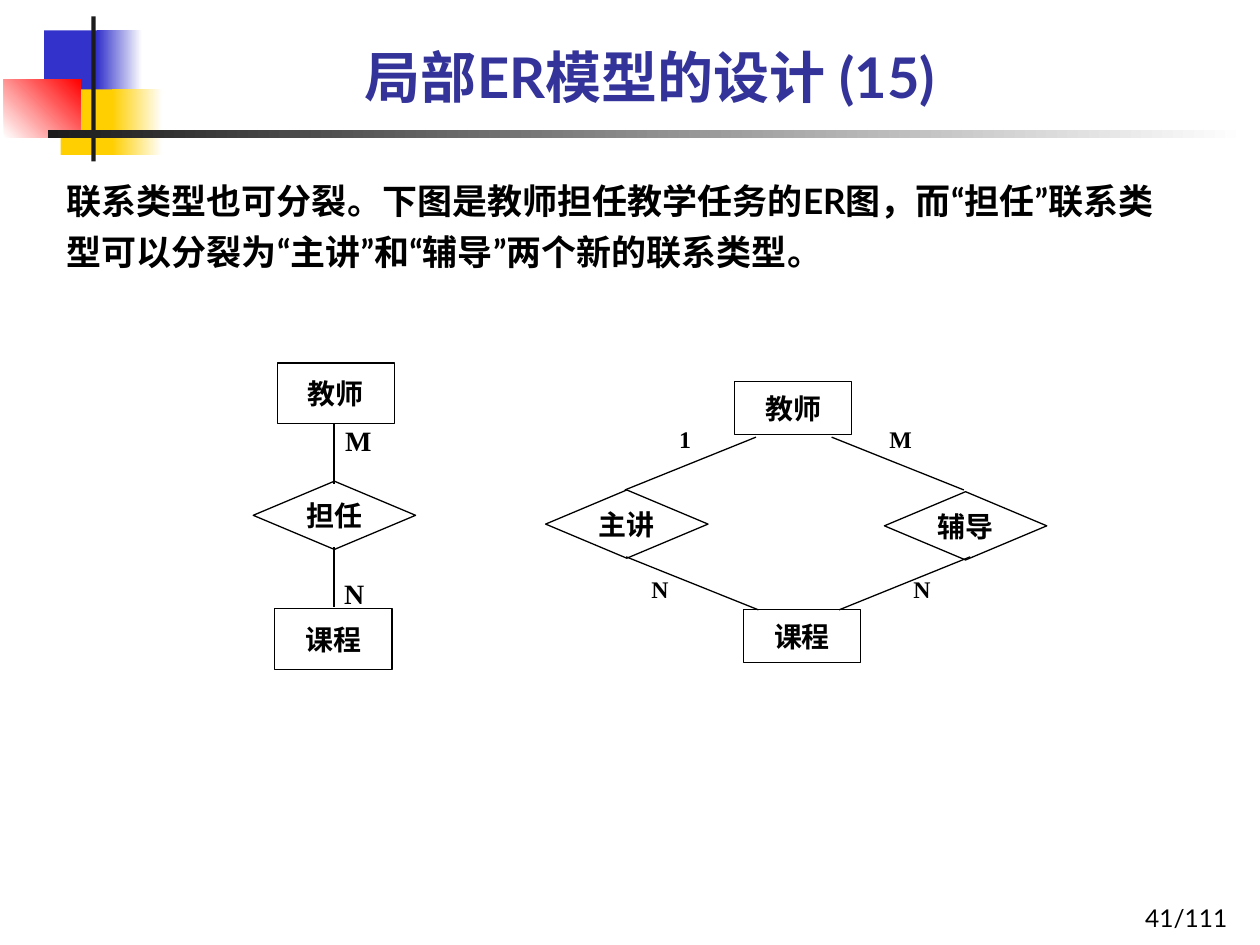
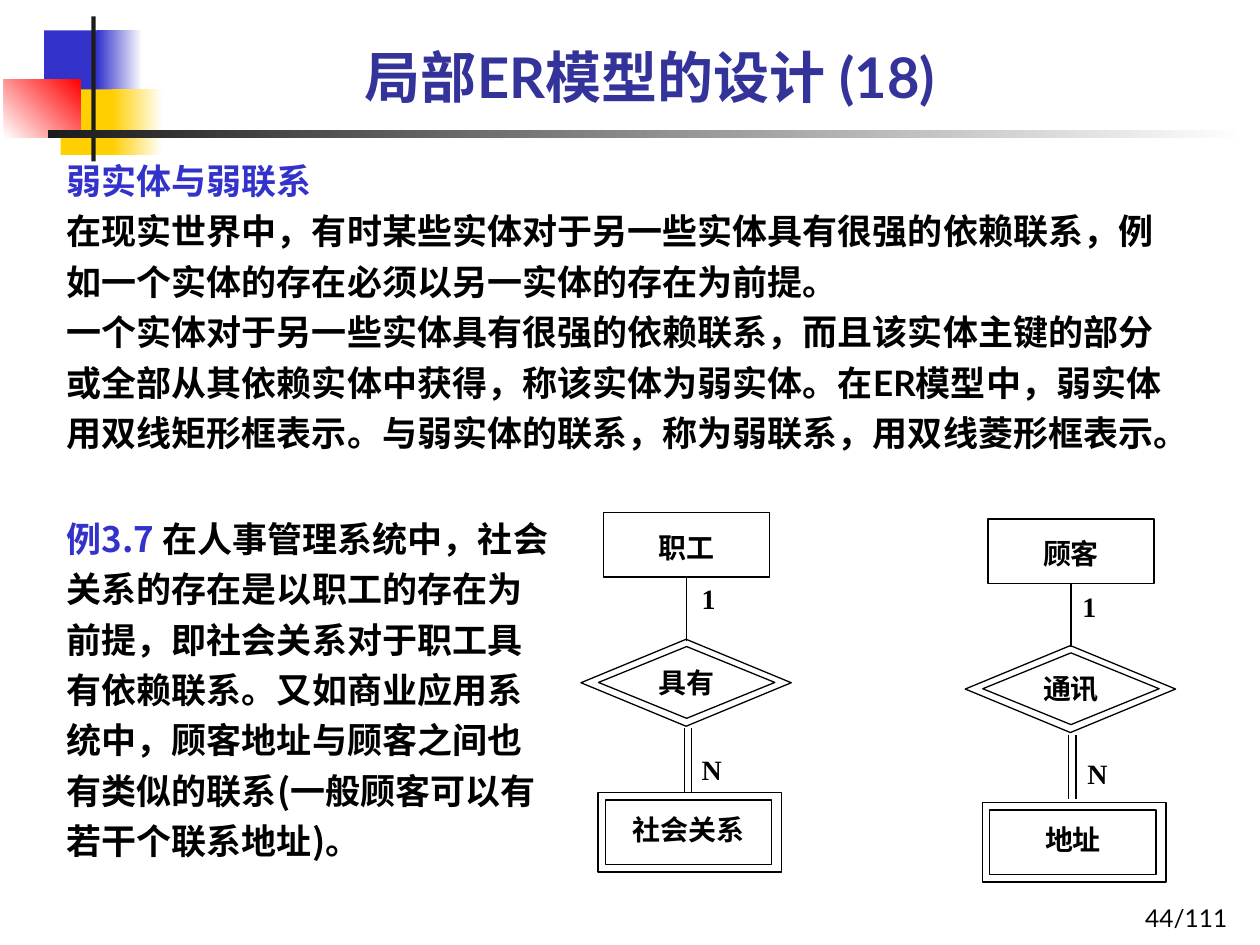
from itertools import groupby

from lxml import etree
from pptx import Presentation
from pptx import util as u
from pptx.dml import color
from pptx.enum import shapes, text
from pptx.oxml import ns

COLORS = {
    "black": "000000",
    "white": "FFFFFF",
    "ink": "1C1C1C",
    "title": "333399",
    "blue": "3333CC",
    "yellow": "FFCF01",
    "red": "FF0000",
}
SANS, CJK, SERIF = "Lato", "Noto Sans CJK SC", "Times New Roman"
RECTANGLE = shapes.MSO_SHAPE.RECTANGLE
DIAMOND = shapes.MSO_SHAPE.DIAMOND
ALIGN = text.PP_ALIGN
ANCHOR = text.MSO_ANCHOR
ENTITY = 67, 34.8
SLIM_ENTITY = 67, 30
RELATION = 92.8, 39
WEAK_ENTITY = 95, 36.7
INSETS = 7.2, 3.6, 7.2, 3.6
NO_INSETS = 0, 0, 0, 0
SIDES = "margin_left", "margin_top", "margin_right", "margin_bottom"


def rgb(name):
    return color.RGBColor.from_string(COLORS[name])


def set_values(target, values):
    for name, value in values.items():
        setattr(target, name, value)


def quote_runs(sentence, tone="black"):
    return [("".join(part), SERIF if quoted else SANS, tone)
            for quoted, part in groupby(sentence, lambda letter: letter in "“”")]


class Deck:
    def __init__(self):
        self.presentation = Presentation()
        set_values(self.presentation, {"slide_width": u.Pt(720), "slide_height": u.Pt(540)})
        self.slide = None

    def add_slide(self, title, page):
        self.slide = self.presentation.slides.add_slide(self.presentation.slide_layouts[5])
        self.add_emblem()
        self.add_text((558.7, 500.4, 149.8, 36), [[(page, SANS, "black")]], size=14,
                      bold=False, align=ALIGN.RIGHT, anchor=ANCHOR.BOTTOM)
        placeholder = self.slide.shapes.title
        set_values(placeholder, dict(zip(("left", "top", "width", "height"),
                                         map(u.Pt, (64.8, 3.6, 613.4, 62.6)))))
        self.fill_text(placeholder, [[(title, SANS, "title")]], size=32,
                       align=ALIGN.CENTER, anchor=ANCHOR.BOTTOM)

    def add_emblem(self):
        for box, tones, angle in (
            ((25.2, 17.3, 34.6, 37.4), ["blue"], 0),
            ((55.4, 17.3, 25.9, 37.4), ["blue", "white"], 0),
            ((34.6, 51.1, 33.1, 37.4), ["yellow"], 0),
            ((64.1, 51.1, 28.8, 37.4), ["yellow", "white"], 0),
            ((2.2, 45.4, 43.9, 33.1), ["white", "red"], 45),
            ((52.2, 9.4, 2.4, 82.8), ["ink"], 0),
            ((27.4, 74.2, 684.7, 4.6), ["ink", "white"], 0),
        ):
            shape = self.add_shape(RECTANGLE, box, tones[0], outlined=False)
            if len(tones) == 2:
                shape.fill.gradient()
                shape.fill.gradient_angle = angle
                for stop, tone in zip(shape.fill.gradient_stops, tones):
                    stop.color.rgb = rgb(tone)

    def add_shape(self, kind, box, fill=None, outlined=True):
        shape = self.slide.shapes.add_shape(kind, *map(u.Pt, box))
        shape.shadow.inherit = False
        if fill:
            shape.fill.solid()
            shape.fill.fore_color.rgb = rgb(fill)
        else:
            shape.fill.background()
        if outlined:
            shape.line.color.rgb = rgb("black")
            shape.line.width = u.Pt(0.75)
        else:
            shape.line.fill.background()
        return shape

    def add_node(self, kind, left, top, size, name, insets=NO_INSETS, fill="white"):
        shape = self.add_shape(kind, (left, top, *size), fill)
        self.fill_text(shape, [[(name, SERIF, "black")]], size=16, align=ALIGN.CENTER,
                       anchor=ANCHOR.MIDDLE, insets=insets)

    def add_text(self, box, paragraphs, **style):
        self.fill_text(self.slide.shapes.add_textbox(*map(u.Pt, box)), paragraphs, **style)

    def add_label(self, left, top, name, size=16, spacing=1):
        self.add_text((left, top, 17.3, 18 if spacing < 1 else 20.9),
                      [[(name, SERIF, "black")]], size=size, spacing=spacing,
                      anchor=ANCHOR.MIDDLE, insets=NO_INSETS)

    def add_line(self, *ends):
        connector = self.slide.shapes.add_connector(
            shapes.MSO_CONNECTOR.STRAIGHT, *map(u.Pt, ends))
        connector.line.color.rgb = rgb("black")
        connector.line.width = u.Pt(0.75)
        etree.SubElement(connector._element.spPr, ns.qn("a:effectLst"))

    def fill_text(self, shape, paragraphs, size=20, bold=True, align=ALIGN.LEFT,
                  anchor=ANCHOR.TOP, insets=INSETS, spacing=1):
        frame = shape.text_frame
        set_values(frame, {"word_wrap": True, "auto_size": text.MSO_AUTO_SIZE.NONE,
                           "vertical_anchor": anchor, **dict(zip(SIDES, map(u.Pt, insets)))})
        for index, runs in enumerate(paragraphs):
            paragraph = frame.add_paragraph() if index else frame.paragraphs[0]
            set_values(paragraph, {"alignment": align, "line_spacing": spacing,
                                   "space_before": u.Pt(0)})
            for words, font_name, tone in runs:
                run = paragraph.add_run()
                run.text = words
                set_values(run.font, {"name": font_name, "size": u.Pt(size), "bold": bold})
                run.font.color.rgb = rgb(tone)
                east_asian = etree.Element(ns.qn("a:ea"), typeface=SANS)
                run.font._element.find(ns.qn("a:latin")).addnext(east_asian)

    def add_weak_relation(self, center, top, weak_top, names, one_at, many_at):
        owner, relation, weak = names
        self.add_node(RECTANGLE, center - 47.5, top, WEAK_ENTITY, owner, (0, 3, 0, 0))
        self.add_line(center, top + 36.7, center, top + 73.4)
        for shift in (-1.4, 2.9):
            self.add_line(center + shift, top + 123.2, center + shift, top + 159.9)
        self.add_node(DIAMOND, center - 50.4, top + 76.5, (100.8, 41), relation)
        self.add_shape(DIAMOND, (center - 60.4, top + 72.3, 120.2, 49.7))
        self.add_shape(RECTANGLE, (center - 50.7, weak_top, 105.1, 45.4))
        self.add_node(RECTANGLE, center - 46.4, weak_top + 4.3, WEAK_ENTITY, weak,
                      (0, 0, 0, 3), fill=None)
        self.add_label(*one_at, "1")
        self.add_label(*many_at, "N")


def add_split_slide(deck):
    deck.add_slide("局部ER模型的设计 (15)", "41/111")
    sentence = ("联系类型也可分裂。下图是教师担任教学任务的ER图，而“担任”联系类型可以分裂为"
                "“主讲”和“辅导”两个新的联系类型。")
    deck.add_text((31, 94.3, 652.3, 73.4), [quote_runs(sentence)], spacing=1.2)

    deck.add_node(RECTANGLE, 158.4, 207.4, ENTITY, "教师")
    deck.add_node(RECTANGLE, 157, 347.8, ENTITY, "课程")
    deck.add_node(DIAMOND, 144.7, 275, RELATION, "担任")
    deck.add_label(197.3, 241.2, "M")
    deck.add_label(196.6, 328.3, "N")
    for top in (242, 312.5):
        deck.add_line(190.8, top, 190.8, top + 34.6)

    deck.add_node(RECTANGLE, 419.8, 218.2, SLIM_ENTITY, "教师")
    deck.add_node(RECTANGLE, 424.8, 348.5, SLIM_ENTITY, "课程")
    deck.add_node(DIAMOND, 311.8, 280, RELATION, "主讲")
    deck.add_node(DIAMOND, 505.4, 281, RELATION, "辅导")
    for left, top, right, bottom in ((432, 249.8, 357.1, 280), (475.2, 249.8, 550.8, 280),
                                     (357.8, 318.2, 433.4, 348.5), (554.4, 318.2, 479.5, 348.5)):
        deck.add_line(left, top, right, bottom)
    for left, top, name in ((388.1, 242.6, "1"), (508.3, 242.6, "M"),
                            (372.2, 328.3, "N"), (522, 328.3, "N")):
        deck.add_label(left, top, name, size=13.6, spacing=0.9)


def add_weak_slide(deck):
    deck.add_slide("局部ER模型的设计 (18)", "44/111")
    deck.add_text((31, 82.8, 652.3, 209.5), [
        quote_runs("弱实体与弱联系", "blue"),
        quote_runs("在现实世界中，有时某些实体对于另一些实体具有很强的依赖联系，"
                   "例如一个实体的存在必须以另一实体的存在为前提。"),
        quote_runs("一个实体对于另一些实体具有很强的依赖联系，而且该实体主键的部分或全部"
                   "从其依赖实体中获得，称该实体为弱实体。在ER模型中，弱实体用双线矩形框表示。"
                   "与弱实体的联系，称为弱联系，用双线菱形框表示。"),
    ], spacing=1.2)
    deck.add_text((31, 287.3, 289.4, 245.5), [[
        ("例3.7 ", CJK, "blue"),
        ("在人事管理系统中，社会关系的存在是以职工的存在为前提，即社会关系对于职工具有依赖联系。"
         "又如商业应用系统中，顾客地址与顾客之间也有类似的联系(一般顾客可以有若干个联系地址)。",
         CJK, "black"),
    ]], spacing=1.2)
    deck.add_weak_relation(392.4, 293, 452.9, ("职工", "具有", "社会关系"),
                           (401, 331.2), (401, 429.1))
    deck.add_weak_relation(612, 296.6, 458.6, ("顾客", "通讯", "地址"),
                           (618.5, 336.2), (621.4, 431.3))


def main():
    deck = Deck()
    add_split_slide(deck)
    add_weak_slide(deck)
    deck.presentation.save("out.pptx")


if __name__ == "__main__":
    main()
